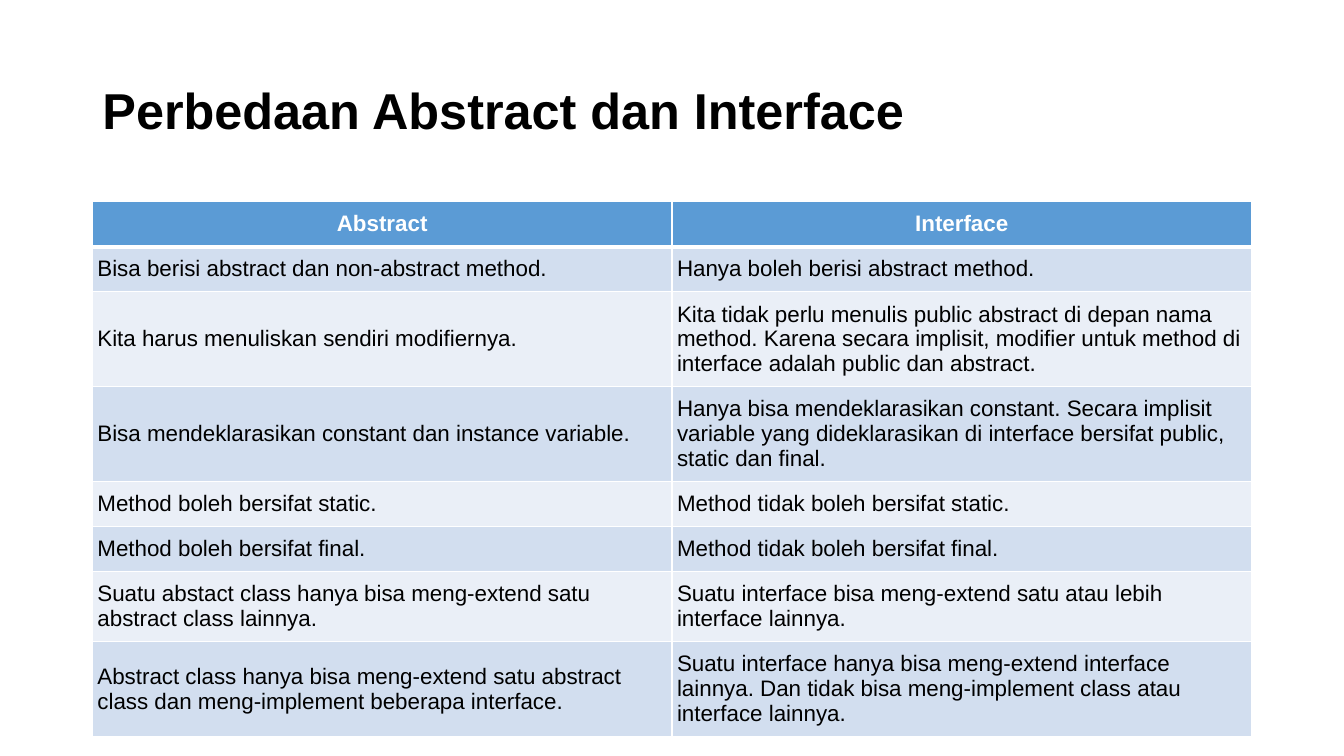
from dataclasses import dataclass

from lxml import etree
from pptx import Presentation
from pptx import util as u
from pptx.dml.color import RGBColor
from pptx.enum import text
from pptx.oxml import ns

COLORS = {
    "ink": "000000",
    "paper": "FFFFFF",
    "header": "5B9BD5",
    "odd": "D2DEEF",
    "even": "EAEFF7",
}
LEFT, WIDTH = 66, 828
TABLE_TOP, ROW_HEIGHT = 144, 29.2
CELL_FORMAT = {
    "margin_left": u.Pt(3.6),
    "margin_right": u.Pt(3.6),
    "margin_top": u.Pt(7.2),
    "margin_bottom": u.Pt(7.2),
}


@dataclass(frozen=True)
class Comparison:
    abstract: str
    interface: str
    anchor: text.MSO_ANCHOR = text.MSO_ANCHOR.MIDDLE


COMPARISONS = [
    Comparison("Abstract", "Interface"),
    Comparison("Bisa berisi abstract dan non-abstract method.",
               "Hanya boleh berisi abstract method.", text.MSO_ANCHOR.TOP),
    Comparison("Kita harus menuliskan sendiri modifiernya.",
               "Kita tidak perlu menulis public abstract di depan nama method. "
               "Karena secara implisit, modifier untuk method di interface "
               "adalah public dan abstract."),
    Comparison("Bisa mendeklarasikan constant dan instance variable.",
               "Hanya bisa mendeklarasikan constant. Secara implisit variable "
               "yang dideklarasikan di interface bersifat public, static dan final."),
    Comparison("Method boleh bersifat static.", "Method tidak boleh bersifat static."),
    Comparison("Method boleh bersifat final.", "Method tidak boleh bersifat final."),
    Comparison("Suatu abstact class hanya bisa meng-extend satu abstract class lainnya.",
               "Suatu interface bisa meng-extend satu atau lebih interface lainnya."),
    Comparison("Abstract class hanya bisa meng-extend satu abstract class dan "
               "meng-implement beberapa interface.",
               "Suatu interface hanya bisa meng-extend interface lainnya. Dan tidak "
               "bisa meng-implement class atau interface lainnya."),
]


def apply(target, values: dict) -> None:
    for name, value in values.items():
        setattr(target, name, value)


def write(frame, wording: str, size: float, color: str, bold: bool, align) -> None:
    paragraph = frame.paragraphs[0]
    paragraph.alignment = align
    run = paragraph.add_run()
    run.text = wording
    apply(run.font, {"name": "Arial", "size": u.Pt(size), "bold": bold})
    run.font.color.rgb = RGBColor.from_string(COLORS[color])


def add_border(cell, side: str, width: float) -> None:
    line = etree.SubElement(cell._tc.get_or_add_tcPr(), ns.qn(f"a:ln{side}"),
                            w=str(u.Pt(width)))
    fill = etree.SubElement(line, ns.qn("a:solidFill"))
    etree.SubElement(fill, ns.qn("a:srgbClr"), val=COLORS["paper"])


def draw_cell(cell, wording: str, row: int, anchor: text.MSO_ANCHOR) -> None:
    heading = row == 0
    apply(cell, CELL_FORMAT | {"vertical_anchor": anchor})
    borders = {"L": 1, "R": 1, "T": 3 if row == 1 else 1, "B": 3 if heading else 1}
    for side, width in borders.items():
        add_border(cell, side, width)
    cell.fill.solid()
    band = "header" if heading else "odd" if row % 2 else "even"
    cell.fill.fore_color.rgb = RGBColor.from_string(COLORS[band])
    write(cell.text_frame, wording, 16, "paper" if heading else "ink", heading,
          text.PP_ALIGN.CENTER if heading else text.PP_ALIGN.LEFT)


def draw_comparisons(slide, comparisons: list[Comparison]) -> None:
    table = slide.shapes.add_table(
        len(comparisons), 2, u.Pt(LEFT), u.Pt(TABLE_TOP), u.Pt(WIDTH),
        u.Pt(ROW_HEIGHT * len(comparisons))).table
    for row, comparison in enumerate(comparisons):
        for column, wording in enumerate((comparison.abstract, comparison.interface)):
            draw_cell(table.cell(row, column), wording, row, comparison.anchor)


def draw_heading(slide, wording: str) -> None:
    heading = slide.shapes.title
    apply(heading, {"left": u.Pt(LEFT), "top": u.Pt(28.8),
                    "width": u.Pt(WIDTH), "height": u.Pt(104.4)})
    frame = heading.text_frame
    apply(frame, {"word_wrap": True, "auto_size": text.MSO_AUTO_SIZE.NONE,
                  "vertical_anchor": text.MSO_ANCHOR.MIDDLE})
    write(frame, wording, 36, "ink", True, text.PP_ALIGN.LEFT)
    frame.paragraphs[0].line_spacing = 0.9


deck = Presentation()
apply(deck, {"slide_width": u.Pt(960), "slide_height": u.Pt(540)})
differences = deck.slides.add_slide(deck.slide_layouts[5])
draw_heading(differences, "Perbedaan Abstract dan Interface")
draw_comparisons(differences, COMPARISONS)
deck.save("out.pptx")
